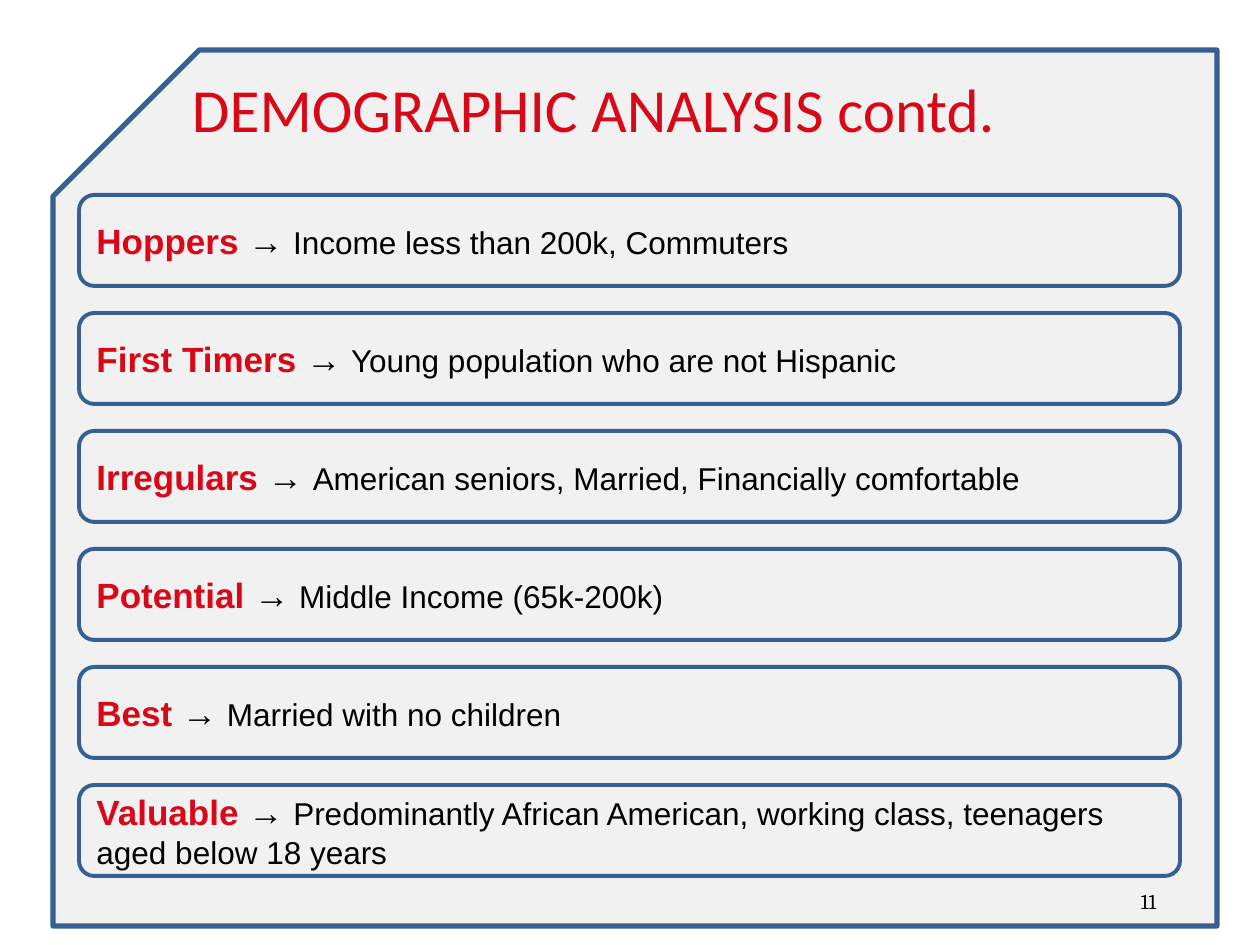
from pptx import Presentation, util as u
from pptx.dml.color import RGBColor
from pptx.enum import shapes, text
from pptx.oxml import ns
from lxml import etree

RED = RGBColor(0xD8, 0x08, 0x18)
BLUE = RGBColor(0x36, 0x60, 0x92)
GREY = RGBColor(0xD8, 0xD8, 0xD8)
BLACK = RGBColor(0, 0, 0)

EMU_PER_PX = 914400 / 126

SEGMENTS = [
    ("Hoppers", "Income less than 200k, Commuters"),
    ("First Timers", "Young population who are not Hispanic"),
    ("Irregulars", "American seniors, Married, Financially comfortable"),
    ("Potential", "Middle Income (65k-200k)"),
    ("Best", "Married with no children"),
    ("Valuable", "Predominantly African American, working class, "
                 "teenagers aged below 18 years"),
]
ROW_TOP, ROW_PITCH = 195, 118


def px(length):
    return u.Emu(round(length * EMU_PER_PX))


class SlideBuilder:
    HEADING = {"name": "Calibri", "size": u.Pt(35), "bold": False}
    NUMBER = {"name": "Cambria", "size": u.Pt(12), "bold": False}
    LABEL = {"name": "Arial", "size": u.Pt(20), "bold": True}
    BODY = {"name": "Arial", "size": u.Pt(18), "bold": False}

    def __init__(self, slide):
        self.slide = slide

    def outline(self, preset, box, width):
        shape = self.slide.shapes.add_shape(preset, *map(px, box))
        shape.shadow.inherit = False
        shape.adjustments[0] = 0.167
        shape.fill.background()
        shape.line.color.rgb = BLUE
        shape.line.width = u.Pt(width)
        return shape

    def panel(self, box):
        shape = self.outline(shapes.MSO_SHAPE.SNIP_1_RECTANGLE, box, 3)
        shape.fill.solid()
        shape.fill.fore_color.rgb = GREY
        color = shape._element.spPr.find(".//" + ns.qn("a:srgbClr"))
        etree.SubElement(color, ns.qn("a:alpha"), val="34000")
        shape._element.spPr.find(ns.qn("a:xfrm")).set("flipH", "1")

    def add_text(self, shape, runs, inset=13):
        frame = shape.text_frame
        settings = {
            "word_wrap": True,
            "vertical_anchor": text.MSO_ANCHOR.MIDDLE,
            "margin_left": px(13), "margin_right": px(13),
            "margin_top": px(inset), "margin_bottom": px(inset),
        }
        for name, value in settings.items():
            setattr(frame, name, value)
        paragraph = frame.paragraphs[0]
        paragraph.alignment = text.PP_ALIGN.LEFT
        for wording, style, color in runs:
            run = paragraph.add_run()
            run.text = wording
            run.font.color.rgb = color
            for name, value in style.items():
                setattr(run.font, name, value)

    def label(self, box, wording, style, color, inset=13):
        shape = self.slide.shapes.add_textbox(*map(px, box))
        self.add_text(shape, [(wording, style, color)], inset)

    def segment(self, box, name, description):
        shape = self.outline(shapes.MSO_SHAPE.ROUNDED_RECTANGLE, box, 2.25)
        self.add_text(shape, [
            (f"{name} ", self.LABEL, RED),
            ("→ ", self.LABEL, BLACK),
            (description, self.BODY, BLACK),
        ])


def main():
    presentation = Presentation()
    presentation.slide_width = px(1260)
    presentation.slide_height = px(945)
    slide = presentation.slides.add_slide(presentation.slide_layouts[6])
    builder = SlideBuilder(slide)

    builder.panel((53, 50, 1164, 876))
    builder.label((179, 63, 1003, 91), "DEMOGRAPHIC ANALYSIS contd.",
                  builder.HEADING, RED)
    builder.label((1128, 876, 73, 50), "11", builder.NUMBER, BLACK, inset=6)
    for index, (name, description) in enumerate(SEGMENTS):
        top = ROW_TOP + index * ROW_PITCH
        builder.segment((79, top, 1101, 91), name, description)

    presentation.save("out.pptx")


if __name__ == "__main__":
    main()
